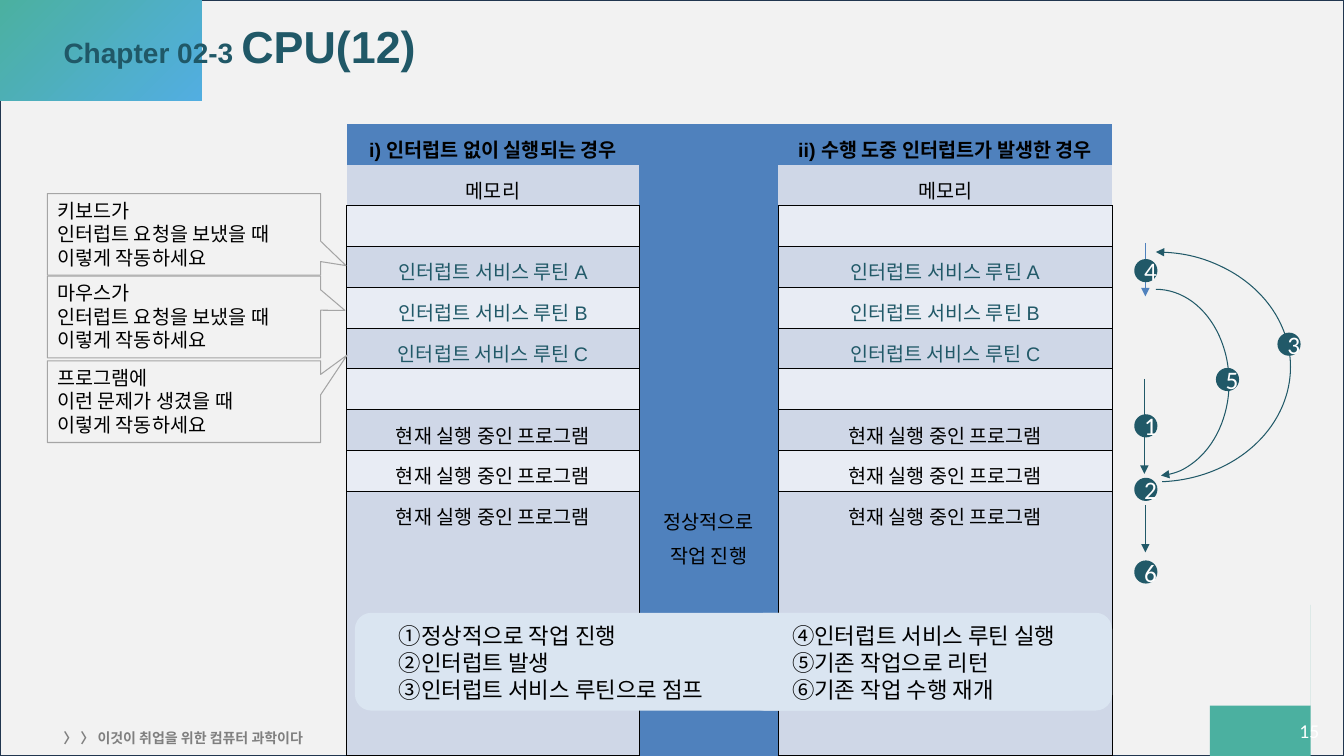
from pptx import Presentation
from pptx.dml.color import RGBColor
from pptx.enum.shapes import MSO_CONNECTOR, MSO_SHAPE
from pptx.enum.text import MSO_ANCHOR, MSO_AUTO_SIZE, PP_ALIGN
from pptx.oxml.ns import qn
from pptx.util import Inches, Pt
from lxml.etree import SubElement

TEAL, GREEN, BLUE, BLACK, WHITE = "215968", "4BB0A0", "4F81BD", "000000", "FFFFFF"
BANDS = ["E8ECF4", "CFD7E7"]
NO_TABLE_STYLE = "{2D5ABB26-0587-4C30-8999-92F81FD0307C}"

TITLE = [("Chapter 02-3 ", 20), ("CPU(12)", 32)]
HEADERS = ["i) 인터럽트 없이 실행되는 경우", "ii) 수행 도중 인터럽트가 발생한 경우"]
PROGRAM = "현재 실행 중인 프로그램"
MEMORY = ["메모리", "", *[f"인터럽트 서비스 루틴 {letter}" for letter in "ABC"],
          "", PROGRAM, PROGRAM, PROGRAM]
MIDDLE = ["정상적으로", "작업 진행"]
COLUMNS = [2.9, 1.38, 3.31]
ROW_HEIGHT = 0.405
TABLE_LEFT, TABLE_TOP, SLIDE_HEIGHT = 3.44, 1.23, 7.5

CALLOUTS = [  # top, pointer position, lines
    (1.92, (0.593, 0.383), ["키보드가", "인터럽트 요청을 보냈을 때", "이렇게 작동하세요"]),
    (2.74, (0.589, -0.081), ["마우스가", "인터럽트 요청을 보냈을 때", "이렇게 작동하세요"]),
    (3.58, (0.597, -0.571), ["프로그램에", "이런 문제가 생겼을 때", "이렇게 작동하세요"]),
]
ARROWS = [(11.35, 3.76, 4.7, TEAL), (11.36, 5.01, 5.48, TEAL), (11.36, 2.41, 2.94, BLUE)]
ARCS = [((10.74, 2.87, 1.45, 1.85), "tailEnd"), ((10.13, 2.5, 2.67, 2.28), "headEnd")]
STEPS = {"1": (11.25, 4.11), "2": (11.25, 4.74), "3": (12.67, 3.3),
         "4": (11.25, 2.57), "5": (12.06, 3.65), "6": (11.25, 5.56)}
LEGENDS = [
    (3.52, 7.51, ["①정상적으로 작업 진행", "②인터럽트 발생", "③인터럽트 서비스 루틴으로 점프"]),
    (7.42, 3.37, ["④인터럽트 서비스 루틴 실행", "⑤기존 작업으로 리턴", "⑥기존 작업 수행 재개"]),
]
# Each outline: corner, start of the curve, then Bezier segments
TOP_WAVE = [(0, 0), (0, 0.7), [
    (0, 0.7, 0.04, 0.71, 0.11, 0.71), (0.24, 0.71, 0.43, 0.67, 0.49, 0.46),
    (0.56, 0.23, 0.68, 0.17, 0.79, 0.17), (0.84, 0.17, 0.89, 0.18, 0.93, 0.2),
    (1.01, 0.24, 1.1, 0.26, 1.18, 0.26), (1.37, 0.26, 1.52, 0.17, 1.52, 0)]]
BOTTOM_WAVE = [(13.33, 7.5), (13.33, 6.18), [
    (13.33, 6.18, 13.04, 6.29, 12.78, 6.85), (12.62, 7.18, 12.45, 7.25, 12.27, 7.25),
    (12.15, 7.25, 12.02, 7.22, 11.88, 7.22), (11.54, 7.22, 11.56, 7.5, 11.56, 7.5)]]


def color(value):
    return RGBColor.from_string(value)


def add_span(para, text, size, shade=BLACK, name="Calibri", bold=False):
    span = para.add_run()
    span.text = text
    for key, value in {"size": Pt(size), "name": name, "bold": bold}.items():
        setattr(span.font, key, value)
    span.font.color.rgb = color(shade)


def write(frame, lines, size, align=PP_ALIGN.LEFT, indent=0, spacing=1.0, **font):
    for number, line in enumerate(lines):
        para = frame.paragraphs[0] if number == 0 else frame.add_paragraph()
        para.alignment, para.line_spacing = align, spacing
        if indent:
            para._p.get_or_add_pPr().set("marL", str(Inches(indent)))
        add_span(para, line, size, **font)


def paint(shape, fill=None, line=None, width=0.75):
    shape.shadow.inherit = False
    if fill:
        shape.fill.solid()
        shape.fill.fore_color.rgb = color(fill)
    else:
        shape.fill.background()
    if line:
        shape.line.color.rgb = color(line)
        shape.line.width = Pt(width)
    else:
        shape.line.fill.background()


def add_box(page, kind, place, adjust=(), **look):
    shape = page.shapes.add_shape(kind, *map(Inches, place))
    for number, value in enumerate(adjust):
        shape.adjustments[number] = value
    paint(shape, **look)
    shape.text_frame.vertical_anchor = MSO_ANCHOR.TOP
    return shape


def add_text(page, place, text, size, **font):
    frame = page.shapes.add_textbox(*map(Inches, place)).text_frame
    frame.word_wrap = True
    write(frame, [text], size, **font)


def add_arrowhead(shape, end):
    SubElement(shape._element.spPr.find(qn("a:ln")), qn(f"a:{end}"), type="triangle")


def add_wave(page, corner, start, curves, steps=12):
    """Draw a corner shape whose Bezier edge is sampled into short segments."""
    points, (x0, y0) = [start], start
    for x1, y1, x2, y2, x3, y3 in curves:
        for step in range(1, steps + 1):
            t = step / steps
            weights = ((1 - t) ** 3, 3 * t * (1 - t) ** 2, 3 * t * t * (1 - t), t ** 3)
            points.append((sum(w * x for w, x in zip(weights, (x0, x1, x2, x3))),
                           sum(w * y for w, y in zip(weights, (y0, y1, y2, y3)))))
        x0, y0 = x3, y3
    builder = page.shapes.build_freeform(*corner, scale=Inches(1))
    builder.add_line_segments(points, close=True)
    wave = builder.convert_to_shape()
    paint(wave, GREEN)
    return wave


def add_borders(cell, sides):
    properties = cell._tc.get_or_add_tcPr()
    for position, side in enumerate(sides):
        line = SubElement(properties, qn(f"a:ln{side}"), w=str(Pt(0.75)))
        fill = SubElement(line, qn("a:solidFill"))
        SubElement(fill, qn("a:srgbClr"), val=BLACK)
        properties.insert(position, line)


def fill_cell(cell, back, lines, **font):
    cell.fill.solid()
    cell.fill.fore_color.rgb = color(back)
    if any(lines):
        write(cell.text_frame, lines, 14, PP_ALIGN.CENTER, spacing=1.2, name="Arial", **font)
    else:
        cell.margin_top = cell.margin_bottom = 0


def add_memory_table(page):
    count = len(MEMORY) + 1
    height = SLIDE_HEIGHT - TABLE_TOP
    frame = page.shapes.add_table(count, 3, *map(Inches, (TABLE_LEFT, TABLE_TOP, sum(COLUMNS), height)))
    table = frame.table
    table._tbl.tblPr.find(qn("a:tableStyleId")).text = NO_TABLE_STYLE
    for column, width in zip(table.columns, COLUMNS):
        column.width = Inches(width)
    for row in table.rows:
        row.height = Inches(ROW_HEIGHT)
    table.rows[count - 1].height = Inches(height - ROW_HEIGHT * (count - 1))

    for row in range(1, count):
        fill_cell(table.cell(row, 1), BLUE, [])
    middle = table.cell(0, 1)
    middle.merge(table.cell(count - 1, 1))
    fill_cell(middle, BLUE, MIDDLE)
    middle.vertical_anchor = MSO_ANCHOR.BOTTOM
    middle.margin_bottom = Inches(1.85)

    for column, header in zip((0, 2), HEADERS):
        fill_cell(table.cell(0, column), BLUE, [header], bold=True)
        for row, text in enumerate(MEMORY, 1):
            cell = table.cell(row, column)
            shade = TEAL if text.startswith("인터럽트") else BLACK
            fill_cell(cell, BANDS[row % 2], [text], shade=shade)
            add_borders(cell, "B" if row == 1 else "LRTB")


def main():
    deck = Presentation()
    deck.slide_width, deck.slide_height = Inches(13.33), Inches(SLIDE_HEIGHT)
    page = deck.slides.add_slide(deck.slide_layouts[5])
    title = page.shapes.title

    backdrop = add_box(page, MSO_SHAPE.RECTANGLE, (0, 0, 13.33, SLIDE_HEIGHT),
                       fill="F2F2F2", line="21364F", width=1)
    title._element.addprevious(backdrop._element)
    wave = add_wave(page, *TOP_WAVE)
    wave.fill.gradient()
    wave.fill.gradient_angle = 315
    for stop, shade, position in zip(wave.fill.gradient_stops, (GREEN, "52AEE1"), (0, 1)):
        stop.color.rgb, stop.position = color(shade), position
    title._element.addprevious(wave._element)
    add_wave(page, *BOTTOM_WAVE)

    title.left, title.top, title.width, title.height = map(Inches, (0.53, 0.12, 12.34, 0.73))
    title.text_frame.auto_size = MSO_AUTO_SIZE.NONE
    title.text_frame.vertical_anchor = MSO_ANCHOR.MIDDLE
    para = title.text_frame.paragraphs[0]
    para.alignment, para.line_spacing = PP_ALIGN.LEFT, 0.9
    for text, size in TITLE:
        add_span(para, text, size, "205867", "Arial", True)
    add_text(page, (12.79, 7.08, 0.44, 0.4), "15", 14, shade=WHITE)
    add_text(page, (0.53, 7.19, 4.5, 0.24), "〉 〉 이것이 취업을 위한 컴퓨터 과학이다", 10,
             shade="7F7F7F", bold=True)

    add_memory_table(page)
    for top, pointer, lines in CALLOUTS:
        callout = add_box(page, MSO_SHAPE.RECTANGULAR_CALLOUT, (0.47, top, 2.71, 0.81),
                          pointer, line="A5A5A5")
        write(callout.text_frame, lines, 14)
    for x, top, bottom, shade in ARROWS:
        arrow = page.shapes.add_connector(MSO_CONNECTOR.STRAIGHT, *map(Inches, (x, top, x, bottom)))
        arrow.line.color.rgb, arrow.line.width = color(shade), Pt(0.75)
        add_arrowhead(arrow, "tailEnd")
        SubElement(arrow._element.spPr, qn("a:effectLst"))
    for place, end in ARCS:
        add_arrowhead(add_box(page, MSO_SHAPE.ARC, place, (162, 52.141), line=TEAL), end)
    for number, (left, top) in STEPS.items():
        step = add_box(page, MSO_SHAPE.OVAL, (left, top, 0.23, 0.23), fill=TEAL)
        step.text_frame.vertical_anchor = MSO_ANCHOR.MIDDLE
        write(step.text_frame, [number], 18, PP_ALIGN.CENTER, shade=WHITE)
    for left, width, lines in LEGENDS:
        legend = add_box(page, MSO_SHAPE.ROUNDED_RECTANGLE, (left, 6.08, width, 0.97),
                         (0.167,), fill="DAE5F1")
        write(legend.text_frame, lines, 16, indent=0.29)
    deck.save("out.pptx")


if __name__ == "__main__":
    main()
